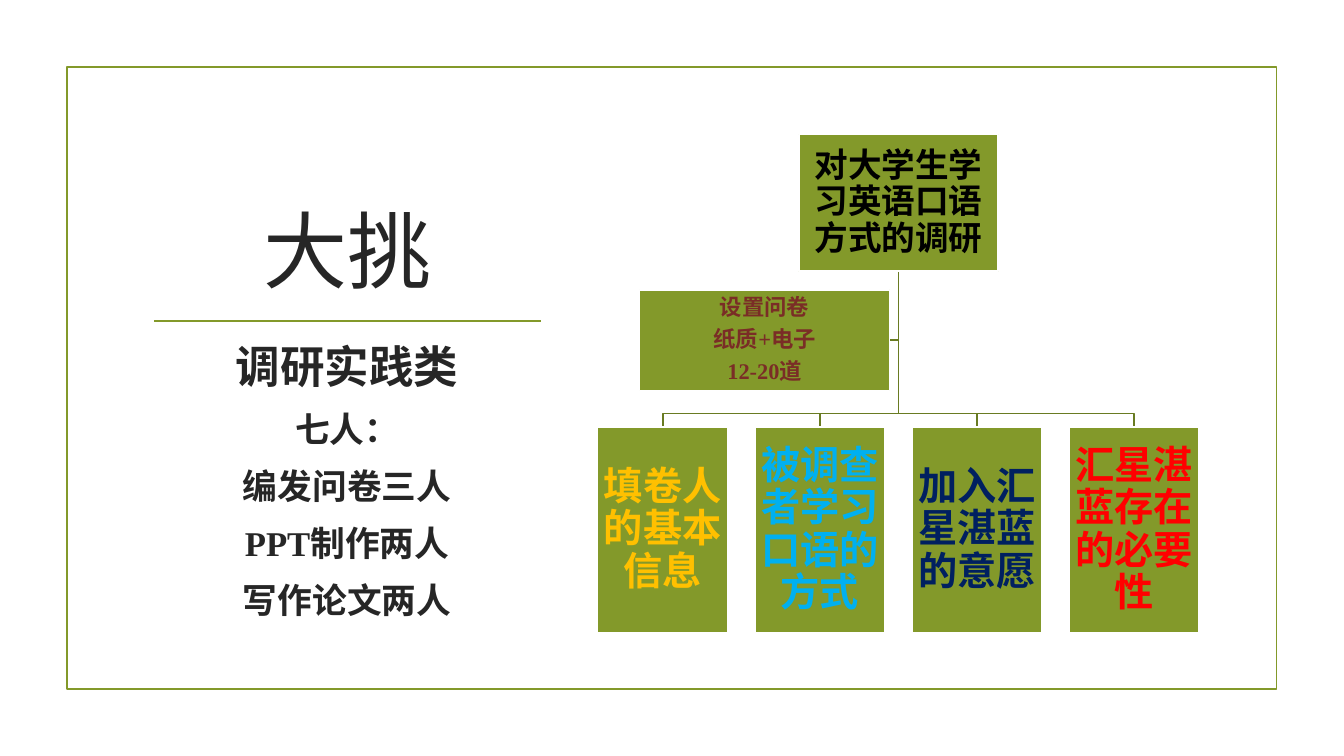
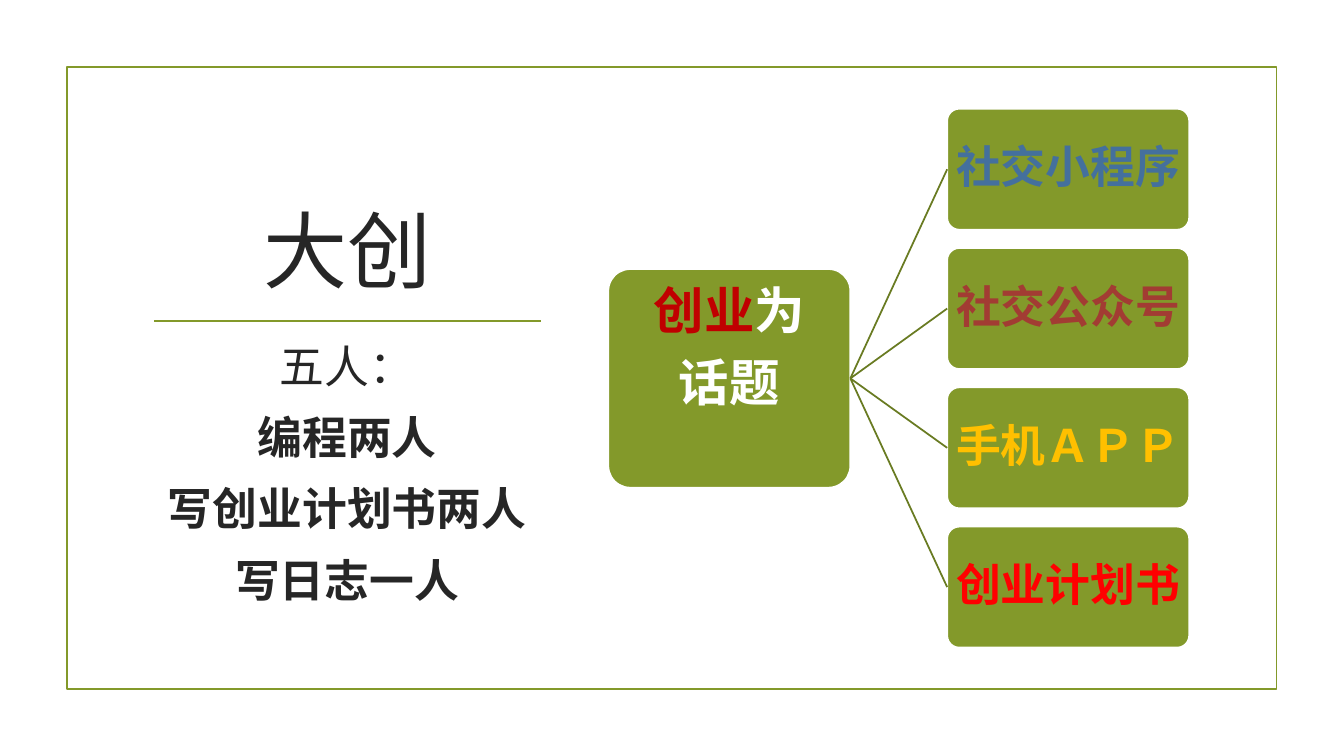
from dataclasses import dataclass

from lxml import etree
from pptx import Presentation
from pptx import util as u
from pptx.dml.color import RGBColor
from pptx.enum import shapes, text
from pptx.oxml import ns


@dataclass(frozen=True)
class Theme:
    font: str = "Times New Roman"
    green: str = "83992A"
    branch: str = "697B22"
    white: str = "FFFFFF"
    ink: str = "262626"
    black: str = "000000"
    maroon: str = "7A2D26"
    brick: str = "A23C33"
    crimson: str = "C00000"
    red: str = "FF0000"
    amber: str = "FFC000"
    sky: str = "00B0F0"
    blue: str = "44709D"
    navy: str = "002060"
    line_pt: float = 1.25
    title_pt: float = 60
    lead_pt: float = 31.8
    task_pt: float = 24.8
    body_pt: float = 32
    root_pt: float = 24
    method_pt: float = 16
    part_pt: float = 28
    hub_pt: float = 36
    topic_pt: float = 32


T = Theme()


@dataclass(frozen=True)
class Run:
    text: str
    size: float
    color: str = T.ink
    bold: bool = True


@dataclass(frozen=True)
class Box:
    """A rectangle in centimetres."""
    x: float
    y: float
    w: float
    h: float

    @property
    def mid_x(self) -> float:
        return self.x + self.w / 2

    @property
    def mid_y(self) -> float:
        return self.y + self.h / 2

    def lengths(self) -> list:
        return [u.Cm(v) for v in (self.x, self.y, self.w, self.h)]


@dataclass(frozen=True)
class Label:
    text: str
    color: str


FRAME = Box(1.69, 1.69, 30.48, 15.68)
TITLE = Box(3.58, 3.86, 10.34, 3.81)
BODY = Box(3.58, 8.41, 10.34, 6.78)
RULE_X, RULE_END, RULE_Y = 3.89, 13.64, 8.09

ROOT = Box(20.13, 3.39, 5.03, 3.45)
METHOD = Box(16.12, 7.3, 6.3, 2.54)
PART = Box(15.06, 10.77, 3.28, 5.18)
PART_PITCH = 3.96
BUS_Y = 10.42

HUB = Box(15.33, 6.78, 6.1, 5.51)
TOPIC = Box(23.87, 2.74, 6.1, 3.05)
TOPIC_PITCH = 3.51

PARTS = [
    Label("填卷人的基本信息", T.amber),
    Label("被调查者学习口语的方式", T.sky),
    Label("加入汇星湛蓝的意愿", T.navy),
    Label("汇星湛蓝存在的必要性", T.red),
]
TOPICS = [
    Label("社交小程序", T.blue),
    Label("社交公众号", T.brick),
    Label("手机ＡＰＰ", T.amber),
    Label("创业计划书", T.red),
]


def rgb(color: str) -> RGBColor:
    return RGBColor.from_string(color)


def write(sp, paragraphs: list[list[Run]], *, anchor=text.MSO_ANCHOR.MIDDLE,
          inset: float = 0.05, extra_bottom: float = 0, leading: float = 0.9,
          before: float = 0, after: float = 0, after_pt: float = 0) -> None:
    """Write centred paragraphs; before and after are shares of the type size."""
    tf = sp.text_frame
    tf.word_wrap = True
    tf.vertical_anchor = anchor
    tf.margin_left = tf.margin_right = tf.margin_top = u.Cm(inset)
    tf.margin_bottom = u.Cm(inset + extra_bottom)
    for i, runs in enumerate(paragraphs):
        p = tf.add_paragraph() if i else tf.paragraphs[0]
        p.alignment = text.PP_ALIGN.CENTER
        p.line_spacing = leading
        p.space_before = u.Pt(before * runs[0].size)
        p.space_after = u.Pt(after * runs[0].size + after_pt)
        for run in runs:
            r = p.add_run()
            r.text = run.text
            r.font.name = T.font
            r.font.size = u.Pt(run.size)
            r.font.bold = run.bold
            r.font.color.rgb = rgb(run.color)


def set_line(sp, color: str) -> None:
    sp.line.color.rgb = rgb(color)
    sp.line.width = u.Pt(T.line_pt)


def add_box(slide, box: Box, kind=shapes.MSO_SHAPE.RECTANGLE, *,
            fill: str | None = T.green, line: str = T.white):
    sp = slide.shapes.add_shape(kind, *box.lengths())
    sp.shadow.inherit = False
    if kind == shapes.MSO_SHAPE.ROUNDED_RECTANGLE:
        sp.adjustments[0] = 0.1
    if fill:
        sp.fill.solid()
        sp.fill.fore_color.rgb = rgb(fill)
    else:
        sp.fill.background()
    set_line(sp, line)
    return sp


def add_line(slide, x1: float, y1: float, x2: float, y2: float, color: str = T.branch):
    line = slide.shapes.add_connector(
        shapes.MSO_CONNECTOR.STRAIGHT, *[u.Cm(v) for v in (x1, y1, x2, y2)])
    set_line(line, color)
    etree.SubElement(line._element.spPr, ns.qn("a:effectLst"))
    return line


def add_branch(slide, *points: tuple[float, float]) -> None:
    """Draw an open, angled outline through the points."""
    start, *rest = [(u.Cm(x), u.Cm(y)) for x, y in points]
    builder = slide.shapes.build_freeform(*start)
    builder.add_line_segments(rest, close=False)
    sp = builder.convert_to_shape()
    sp.shadow.inherit = False
    sp.fill.background()
    set_line(sp, T.branch)


def add_base(prs, title: str, body: list[Run]):
    """Add a slide with the frame, title, rule and left-hand text."""
    slide = prs.slides.add_slide(prs.slide_layouts[6])
    add_box(slide, FRAME, fill=None, line=T.green)
    add_line(slide, RULE_X, RULE_Y, RULE_END, RULE_Y, T.green)
    write(slide.shapes.add_textbox(*TITLE.lengths()),
          [[Run(title, T.title_pt, bold=False)]],
          anchor=text.MSO_ANCHOR.BOTTOM, inset=0.13, leading=1)
    write(slide.shapes.add_textbox(*BODY.lengths()), [[run] for run in body],
          anchor=text.MSO_ANCHOR.TOP, inset=0.13, leading=1, before=0.2, after_pt=6)
    return slide


def add_survey_slide(prs) -> None:
    tasks = ["七人：", "编发问卷三人", "PPT制作两人", "写作论文两人"]
    slide = add_base(prs, "大挑", [Run("调研实践类", T.lead_pt),
                                 *[Run(task, T.task_pt) for task in tasks]])
    boxes = [Box(PART.x + i * PART_PITCH, PART.y, PART.w, PART.h)
             for i in range(len(PARTS))]
    start = (ROOT.mid_x, ROOT.y + ROOT.h)
    add_branch(slide, start, (ROOT.mid_x, METHOD.mid_y),
               (METHOD.x + METHOD.w, METHOD.mid_y))
    for box in boxes:
        add_branch(slide, start, (ROOT.mid_x, BUS_Y), (box.mid_x, BUS_Y),
                   (box.mid_x, box.y))

    write(add_box(slide, ROOT),
          [[Run("对大学生学习英语口语方式的调研", T.root_pt, T.black)]])
    for box, label in zip(boxes, PARTS):
        write(add_box(slide, box), [[Run(label.text, T.part_pt, label.color)]])
    write(add_box(slide, METHOD),
          [[Run(line, T.method_pt, T.maroon)]
           for line in ("设置问卷", "纸质+电子", "12-20道")],
          inset=0.03, after=0.35)


def add_startup_slide(prs) -> None:
    tasks = ["编程两人", "写创业计划书两人", "写日志一人"]
    slide = add_base(prs, "大创", [Run("五人：", T.body_pt, bold=False),
                                 *[Run(task, T.body_pt) for task in tasks]])
    rounded = shapes.MSO_SHAPE.ROUNDED_RECTANGLE
    hub = add_box(slide, HUB, rounded)
    write(hub, [[Run("创业", T.hub_pt, T.crimson), Run("为", T.hub_pt, T.white)],
                [Run("话题", T.hub_pt, T.white)]],
          inset=0.08, extra_bottom=1.45, after=0.35)
    for i, label in enumerate(TOPICS):
        box = Box(TOPIC.x, TOPIC.y + i * TOPIC_PITCH, TOPIC.w, TOPIC.h)
        topic = add_box(slide, box, rounded)
        write(topic, [[Run(label.text, T.topic_pt, label.color)]])
        spoke = add_line(slide, HUB.x + HUB.w, HUB.mid_y, box.x, box.mid_y)
        spoke.begin_connect(hub, 3)
        spoke.end_connect(topic, 1)


def main() -> None:
    prs = Presentation()
    prs.slide_width, prs.slide_height = u.Cm(33.87), u.Cm(19.05)
    add_survey_slide(prs)
    add_startup_slide(prs)
    prs.save("out.pptx")


if __name__ == "__main__":
    main()
